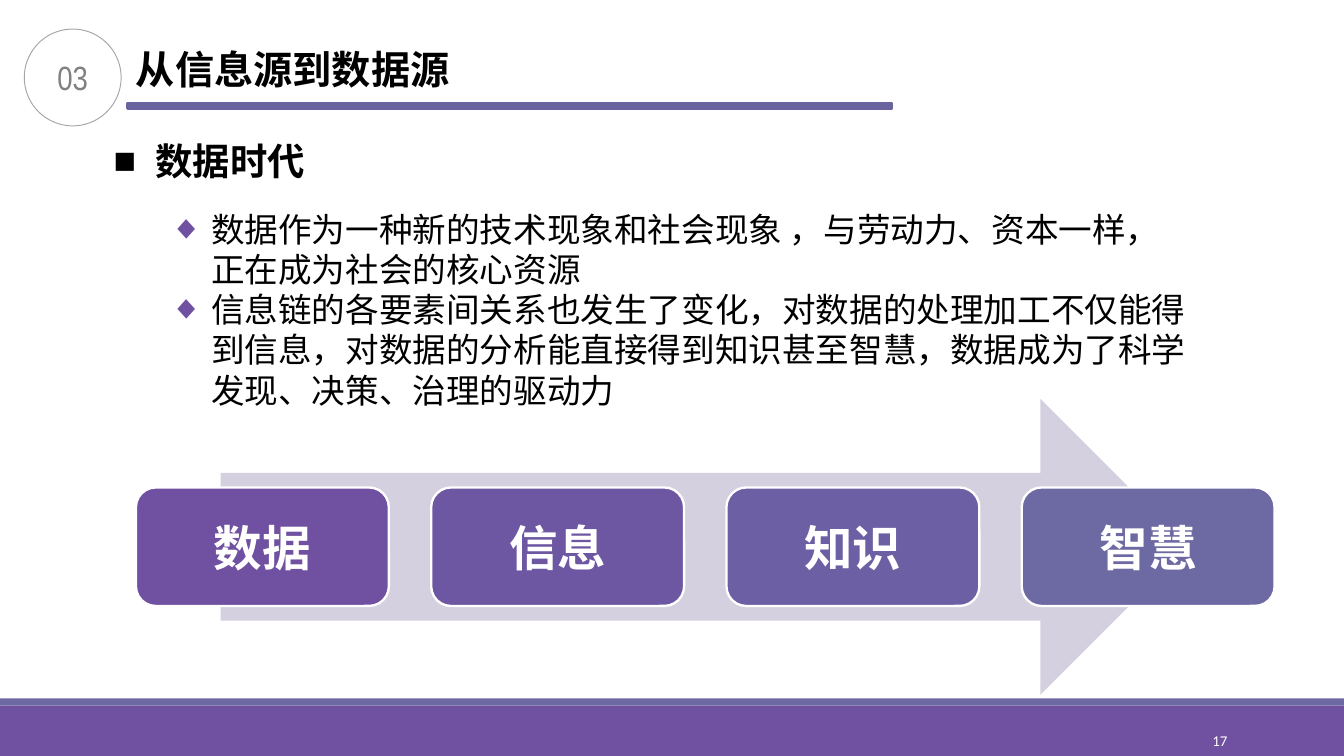
from dataclasses import dataclass

from lxml.etree import SubElement
from pptx import Presentation
from pptx.dml.color import RGBColor
from pptx.enum.shapes import MSO_SHAPE
from pptx.enum.text import MSO_ANCHOR, MSO_AUTO_SIZE, PP_ALIGN
from pptx.oxml.ns import qn
from pptx.util import Cm, Pt


@dataclass(frozen=True)
class Theme:
    purple: str = "7050A0"
    slate: str = "6D69A3"
    rule: str = "6964A0"
    arrow: str = "D5D0DF"
    cards: tuple = ("7050A0", "6D57A2", "6C5FA3", "6D69A3")
    black: str = "000000"
    white: str = "FFFFFF"
    grey: str = "808080"
    ring: str = "A6A6A6"
    cjk: str = "Noto Sans CJK SC"
    badge_font: str = "Arial Narrow"
    number_font: str = "Calibri"
    title_size: float = 21
    heading_size: float = 20
    body_size: float = 18
    card_size: float = 26
    number_size: float = 8
    leading: float = 1.2


THEME = Theme()
POINTS = (
    "数据作为一种新的技术现象和社会现象 ，与劳动力、资本一样，正在成为社会的核心资源",
    "信息链的各要素间关系也发生了变化，对数据的处理加工不仅能得到信息，"
    "对数据的分析能直接得到知识甚至智慧，数据成为了科学发现、决策、治理的驱动力",
)
STAGES = ("数据", "信息", "知识", "智慧")


def set_all(target, values):
    for name, value in values.items():
        setattr(target, name, value)


def place(shape, box):
    set_all(shape, dict(zip(("left", "top", "width", "height"), map(Cm, box))))


def add_text_box(page, box):
    return page.shapes.add_textbox(*map(Cm, box))


def add_block(page, kind, box, fill=None, line=None, weight=1.25):
    shape = page.shapes.add_shape(kind, *map(Cm, box))
    shape.shadow.inherit = False
    if fill:
        shape.fill.solid()
        shape.fill.fore_color.rgb = RGBColor.from_string(fill)
    else:
        shape.fill.background()
    if line:
        shape.line.color.rgb = RGBColor.from_string(line)
        shape.line.width = Pt(weight)
    else:
        shape.line.fill.background()
    return shape


def prepare_frame(shape, inset=(0.18, 0.1), anchor=MSO_ANCHOR.TOP, wrap=True):
    side, end = map(Cm, inset)
    frame = shape.text_frame
    set_all(frame, {
        "margin_left": side, "margin_right": side,
        "margin_top": end, "margin_bottom": end,
        "vertical_anchor": anchor, "word_wrap": wrap,
        "auto_size": MSO_AUTO_SIZE.NONE,
    })
    return frame


def write(para, text, size, color, font=THEME.cjk, bold=False,
          align=PP_ALIGN.LEFT):
    set_all(para, {"alignment": align, "space_before": Pt(0)})
    span = para.add_run()
    span.text = text
    set_all(span.font, {"name": font, "size": Pt(size), "bold": bold})
    span.font.color.rgb = RGBColor.from_string(color)
    if font == THEME.cjk:
        para.line_spacing = Pt(size * THEME.leading)
        SubElement(span.font._element, qn("a:ea"), typeface=font)


def add_bullet(para, mark, color):
    """Give the paragraph a hanging bullet; call before writing its text."""
    properties = para._p.get_or_add_pPr()
    indent = Cm(0.79)
    properties.set("marL", str(indent))
    properties.set("indent", str(-indent))
    bullet_color = SubElement(properties, qn("a:buClr"))
    SubElement(bullet_color, qn("a:srgbClr"), val=color)
    SubElement(properties, qn("a:buFont"), typeface="Arial")
    SubElement(properties, qn("a:buChar"), char=mark)


def build_footer(page, box):
    left, top, width, height = box
    stripe = 0.14
    add_block(page, MSO_SHAPE.RECTANGLE,
              (left, top + stripe, width, height - stripe), THEME.purple)
    add_block(page, MSO_SHAPE.RECTANGLE, (left, top, width, stripe), THEME.slate)
    number = add_text_box(page, (left + 20.64, top + 0.41, 2.74, 0.76))
    frame = prepare_frame(number, anchor=MSO_ANCHOR.MIDDLE)
    write(frame.paragraphs[0], "17", THEME.number_size, THEME.white,
          THEME.number_font, align=PP_ALIGN.RIGHT)


def build_header(page, box):
    left, top, width, height = box
    add_block(page, MSO_SHAPE.RECTANGLE,
              (left + 1.95, top + 1.4, width - 1.95, 0.1), THEME.rule, THEME.rule)
    badge = add_block(page, MSO_SHAPE.OVAL, (left, top, height, height),
                      line=THEME.ring, weight=0.5)
    frame = prepare_frame(badge, anchor=MSO_ANCHOR.MIDDLE)
    write(frame.paragraphs[0], "03", THEME.body_size, THEME.grey,
          THEME.badge_font, align=PP_ALIGN.CENTER)
    title = page.shapes.title
    place(title, (left + 1.93, top + 0.21, 6.4, 1.09))
    frame = prepare_frame(title, wrap=False)
    write(frame.paragraphs[0], "从信息源到数据源", THEME.title_size, THEME.black,
          bold=True)


def build_argument(page, box):
    left, top, width, height = box
    heading = add_text_box(page, (left, top, 4.17, 1.12))
    para = prepare_frame(heading, (0.25, 0.13), wrap=False).paragraphs[0]
    add_bullet(para, "■", THEME.black)
    write(para, "数据时代", THEME.heading_size, THEME.black, bold=True)

    body = page.placeholders[1]
    place(body, (left + 1.05, top + 1.32, width - 1.05, height - 1.32))
    frame = prepare_frame(body, (0.25, 0.13))
    for index, point in enumerate(POINTS):
        para = frame.add_paragraph() if index else frame.paragraphs[0]
        add_bullet(para, "◆", THEME.purple)
        write(para, point, THEME.body_size, THEME.black)


def build_chain(page, box):
    left, top, width, height = box
    add_block(page, MSO_SHAPE.RIGHT_ARROW,
              (left + 1.6, top, 18.29, height), THEME.arrow)
    card_width, card_height = 4.78, 2.24
    step = (width - card_width) / (len(STAGES) - 1)
    card_top = top + (height - card_height) / 2
    for index, (stage, color) in enumerate(zip(STAGES, THEME.cards)):
        card = add_block(page, MSO_SHAPE.ROUNDED_RECTANGLE,
                         (left + index * step, card_top, card_width, card_height),
                         color, THEME.white)
        frame = prepare_frame(card, (0.4, 0.4), MSO_ANCHOR.MIDDLE)
        write(frame.paragraphs[0], stage, THEME.card_size, THEME.white,
              bold=True, align=PP_ALIGN.CENTER)


def main():
    deck = Presentation()
    set_all(deck, {"slide_width": Cm(25.4), "slide_height": Cm(14.29)})
    page = deck.slides.add_slide(deck.slide_layouts[1])
    build_footer(page, (0, 13.2, 25.4, 1.09))
    build_header(page, (0.46, 0.55, 16.4, 1.83))
    build_argument(page, (1.9, 2.49, 20.81, 5.43))
    build_chain(page, (2.57, 7.54, 21.52, 5.59))
    deck.save("out.pptx")


if __name__ == "__main__":
    main()
